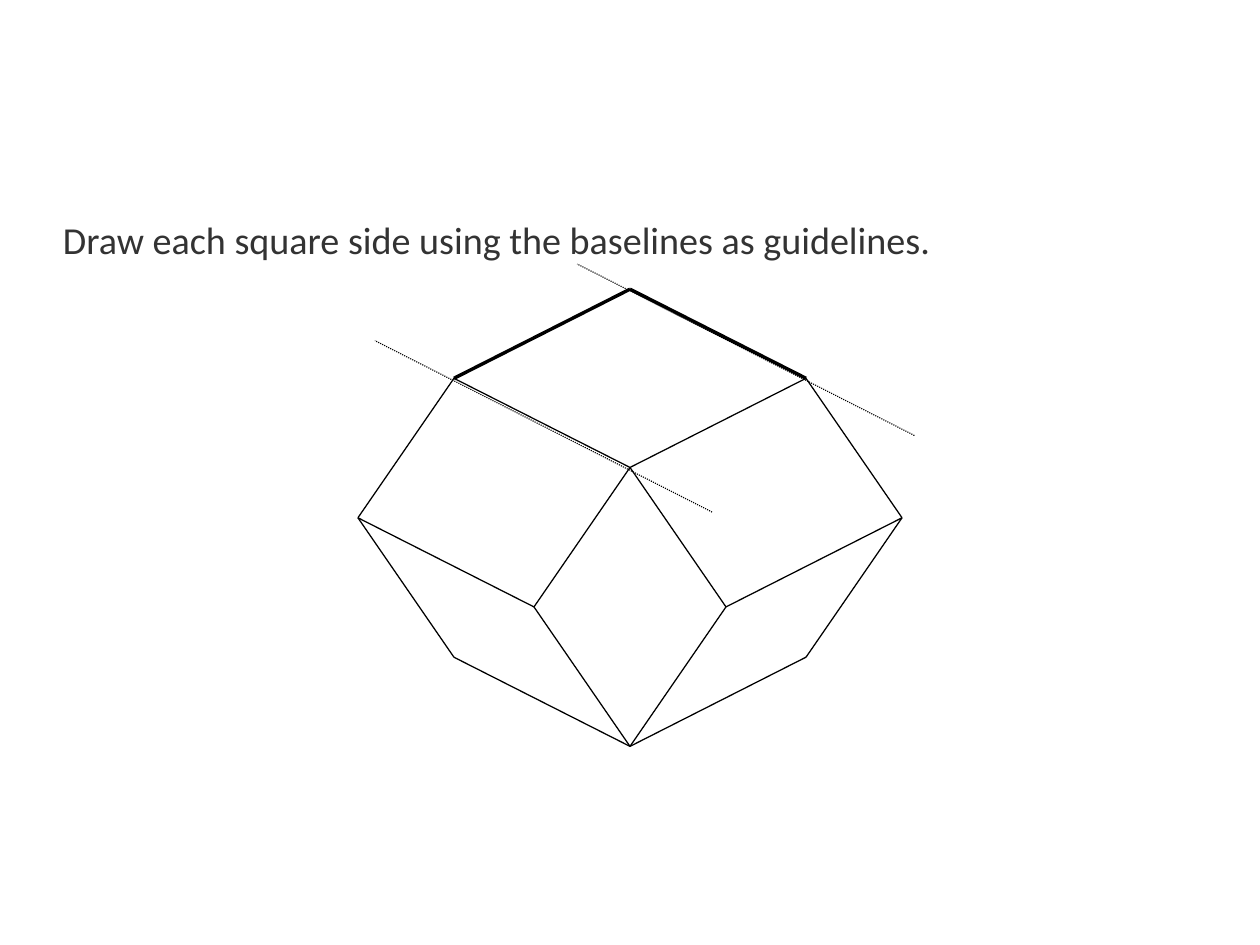
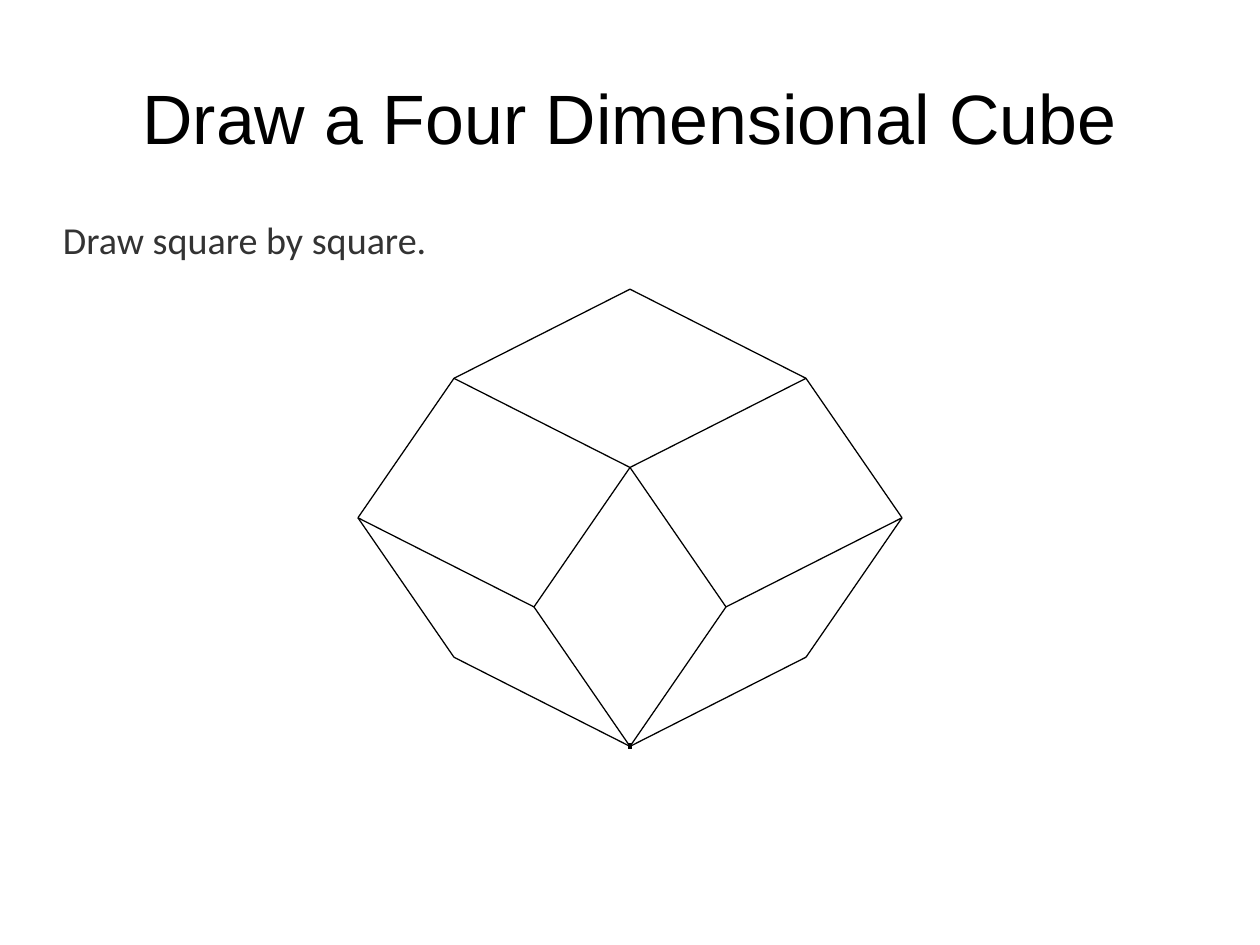
from lxml import etree
from pptx import Presentation
from pptx.dml.color import RGBColor
from pptx.enum.dml import MSO_LINE as Dash
from pptx.enum.shapes import MSO_CONNECTOR as Conn
from pptx.enum.text import MSO_ANCHOR as Anchor, PP_ALIGN as Align
from pptx.oxml.ns import qn
from pptx.util import Cm, Inches, Pt

PAGE = Cm(28), Cm(21)
WIDE, HIGH = (side.inches for side in PAGE)
BLACK = RGBColor(0x00, 0x00, 0x00)
GREY = RGBColor(0x33, 0x33, 0x33)
THIN, BOLD, FINE = 0.79, 2.15, 0.71

MARGIN = 0.05 * WIDE
TITLE = dict(top=0.04 * HIGH, tall=1.38, size=44, font="Arial", color=BLACK,
             align=Align.CENTER, anchor=Anchor.MIDDLE)
BODY = dict(top=1.94, tall=5.46, size=24, font="Calibri", color=GREY,
            spacing=0.9, after=14.1)

# Every edge of the cube runs along one of two slopes, to the left or right.
MID, TOP = WIDE / 2, 2.53
FLAT = (1.54, 0.78)
STEEP = (0.84, 1.22)

# Corner: flat steps right, steep steps right, flat steps down, steep steps down
STEPS = {
    "top": (0, 0, 0, 0),
    "left": (-1, 0, 1, 0), "right": (1, 0, 1, 0),
    "heart": (0, 0, 2, 0),
    "far left": (-1, -1, 1, 1), "far right": (1, 1, 1, 1),
    "in left": (0, -1, 2, 1), "in right": (0, 1, 2, 1),
    "low left": (-1, 0, 1, 2), "low right": (1, 0, 1, 2),
    "foot": (0, 0, 2, 2),
}
CORNERS = {
    name: (MID + a * FLAT[0] + b * STEEP[0], TOP + c * FLAT[1] + d * STEEP[1])
    for name, (a, b, c, d) in STEPS.items()
}
ROOF = [("left", "top"), ("top", "right")]
EDGES = [
    ("low left", "foot"), ("in left", "foot"),
    ("foot", "low right"), ("foot", "in right"),
    ("far left", "in left"), ("far left", "low left"),
    ("in left", "heart"), ("heart", "in right"),
    ("in right", "far right"), ("low right", "far right"),
    ("far left", "left"), ("left", "heart"),
    ("right", "far right"), ("heart", "right"),
]

SLIDES = [
    dict(body="Draw each square side using the baselines as guidelines.",
         roof=BOLD,
         guides=[((6.23, 4.48), (3.28, 2.98)), ((8, 3.81), (5.05, 2.31))]),
    dict(title="Draw a Four Dimensional Cube", body="Draw square by square.",
         roof=THIN, tick=((MID, 6.5), (MID, 6.55))),
]


def draw_line(shapes, start, end, width, dash=None):
    ends = [Inches(v) for v in (*start, *end)]
    line = shapes.add_connector(Conn.STRAIGHT, *ends)
    line.line.color.rgb = BLACK
    line.line.width = Pt(width)
    if dash:
        line.line.dash_style = dash
    etree.SubElement(line._element.spPr, qn("a:effectLst"))


def draw_cube(shapes, roof):
    for edges, width in ((EDGES, THIN), (ROOF, roof)):
        for start, end in edges:
            draw_line(shapes, CORNERS[start], CORNERS[end], width)


def add_text(slide, text, top, tall, size, font, color, align=Align.LEFT,
             anchor=Anchor.TOP, spacing=1.0, after=0):
    box = slide.shapes.add_textbox(Inches(MARGIN), Inches(top),
                                   Inches(WIDE - 2 * MARGIN), Inches(tall))
    frame = box.text_frame
    frame.word_wrap = True
    frame.vertical_anchor = anchor
    frame.margin_left = frame.margin_right = 0
    frame.margin_top = frame.margin_bottom = 0
    para = frame.paragraphs[0]
    para.alignment = align
    para.line_spacing = spacing
    para.space_after = Pt(after)
    run = para.add_run()
    run.text = text
    run.font.name = font
    run.font.size = Pt(size)
    run.font.color.rgb = color


def main():
    deck = Presentation()
    deck.slide_width, deck.slide_height = PAGE
    for item in SLIDES:
        slide = deck.slides.add_slide(deck.slide_layouts[6])
        shapes = slide.shapes
        if "tick" in item:
            shapes = shapes.add_group_shape().shapes
        draw_cube(shapes, item["roof"])
        if "tick" in item:
            draw_line(shapes, *item["tick"], BOLD)
        if "title" in item:
            add_text(slide, item["title"], **TITLE)
        add_text(slide, item["body"], **BODY)
        for start, end in item.get("guides", []):
            draw_line(shapes, start, end, FINE, Dash.ROUND_DOT)
    deck.save("out.pptx")


if __name__ == "__main__":
    main()
